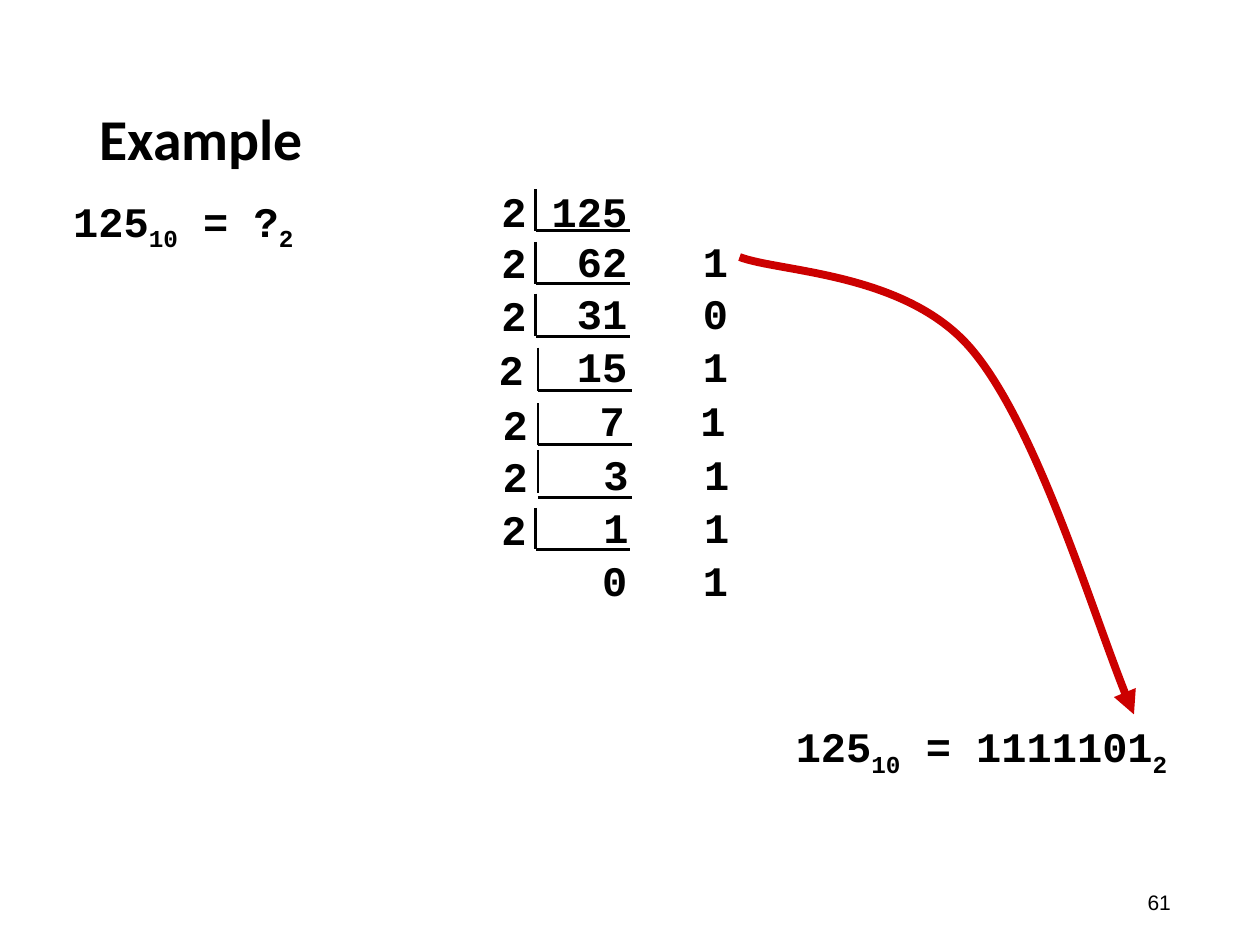
from lxml import etree
from pptx import Presentation
from pptx import util as u
from pptx.dml.color import RGBColor
from pptx.enum import shapes, text
from pptx.oxml import ns

PX = 9144
BLACK = RGBColor(0, 0, 0)
RED = RGBColor(0xCC, 0, 0)
MONO = "Courier New"

deck = Presentation()
deck.slide_width, deck.slide_height = 1000 * PX, 750 * PX
page = deck.slides.add_slide(deck.slide_layouts[6])


def add_box(left, top, width, height, wrap=True):
    box = page.shapes.add_textbox(left * PX, top * PX, width * PX, height * PX)
    box.text_frame.word_wrap = wrap
    return box.text_frame


def add_span(para, words, size=24, font=MONO, bold=True, baseline=0):
    span = para.add_run()
    span.text = words
    span.font.size = u.Pt(size)
    span.font.name = font
    span.font.bold = bold
    span.font.color.rgb = BLACK
    if baseline:
        span.font._element.set("baseline", str(baseline))


number = add_box(901, 701, 40, 30, wrap=False)
add_span(number.paragraphs[0], "61", 12, "Arial", False)

title = add_box(69, 40, 862, 145)
title.vertical_anchor = text.MSO_ANCHOR.MIDDLE
title.paragraphs[0].line_spacing = 0.9
add_span(title.paragraphs[0], "Example", 33, "Calibri")

equations = [(33, 150, 225, " = ?"), (600, 567, 358, " = 1111101")]
for left, top, width, middle in equations:
    para = add_box(left, top, width, 50).paragraphs[0]
    para.alignment = text.PP_ALIGN.CENTER
    for words, baseline in [("125", 0), ("10", -25000), (middle, 0), ("2", -25000)]:
        add_span(para, words, baseline=baseline)

divisions = [
    (388, 142, 425, 150, 183, "2\t125", "\t62\t1"),
    (388, 183, 425, 192, 225, "2", "\t31\t0"),
    (388, 225, 425, 233, 267, "2", "\t15\t1"),
    (386, 268, 427, 276, 310, "2", "\t7\t1"),
    (389, 311, 427, 320, 353, "2", "\t3\t1"),
    (389, 353, 427, 357, 395, "2", "\t1\t1"),
    (388, 395, 425, 403, 436, "2", "\t0\t1"),
]
for left, top, bar_x, bar_top, base_y, divisor, quotient in divisions:
    para = add_box(left, top, 225, 91).paragraphs[0]
    tabs = etree.SubElement(para._p.get_or_add_pPr(), ns.qn("a:tabLst"))
    for stop in (100, 180):
        etree.SubElement(tabs, ns.qn("a:tab"), pos=str(stop * PX), algn="r")
    add_span(para, divisor)
    para.add_line_break()
    add_span(para, quotient)

    bar_bottom = min(base_y, bar_top + 34)
    for ends in [(bar_x, bar_top, bar_x, bar_bottom), (bar_x, base_y, bar_x + 75, base_y)]:
        line = page.shapes.add_connector(
            shapes.MSO_CONNECTOR.STRAIGHT, *(value * PX for value in ends))
        line.line.color.rgb = BLACK
        line.line.width = u.Pt(1.5)
        etree.SubElement(line._element.spPr, ns.qn("a:effectLst"))

start = (587, 204)
curves = [[(618, 216), (718, 216), (770, 276)], [(822, 336), (873, 506), (900, 567)]]
builder = page.shapes.build_freeform(*start, scale=PX)
builder.add_line_segments([curve[-1] for curve in curves], close=False)
arrow = builder.convert_to_shape()
arrow.shadow.inherit = False
arrow.fill.background()
arrow.line.color.rgb = RED
arrow.line.width = u.Pt(4.5)
etree.SubElement(arrow.line._get_or_add_ln(), ns.qn("a:tailEnd"), type="triangle")
for segment, curve in zip(list(arrow._element.iter(ns.qn("a:lnTo"))), curves):
    bezier = etree.Element(ns.qn("a:cubicBezTo"))
    for x, y in curve:
        etree.SubElement(bezier, ns.qn("a:pt"), x=str(x - start[0]), y=str(y - start[1]))
    segment.getparent().replace(segment, bezier)

deck.save("out.pptx")
